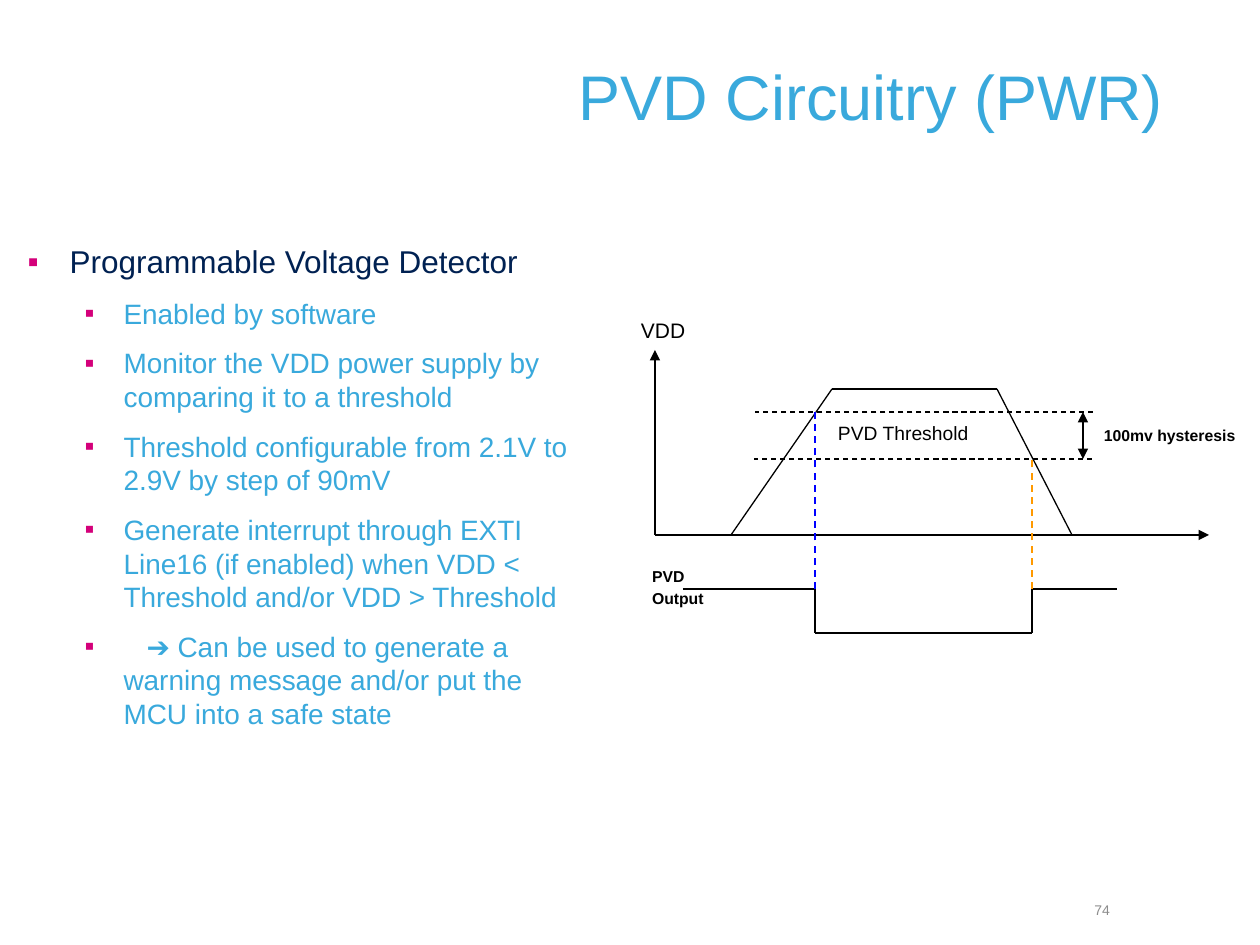
from dataclasses import dataclass

from lxml import etree
from pptx import Presentation
from pptx.dml.color import RGBColor
from pptx.enum.dml import MSO_LINE
from pptx.enum.shapes import MSO_CONNECTOR
from pptx.enum.text import MSO_ANCHOR, MSO_AUTO_SIZE, PP_ALIGN
from pptx.oxml.ns import qn
from pptx.util import Pt

PX_PER_INCH = 126
STRAIGHT = MSO_CONNECTOR.STRAIGHT
DASH = MSO_LINE.DASH
LEFT, RIGHT = PP_ALIGN.LEFT, PP_ALIGN.RIGHT
TOP, MIDDLE = MSO_ANCHOR.TOP, MSO_ANCHOR.MIDDLE
FIXED = MSO_AUTO_SIZE.NONE


@dataclass(frozen=True)
class Theme:
    font: str = "Arial"
    sky: str = "39A9DC"
    navy: str = "002152"
    pink: str = "D4007A"
    grey: str = "8C8C8C"
    black: str = "000000"
    blue: str = "0000FF"
    orange: str = "FF9900"
    title: int = 36
    topic: int = 18
    point: int = 16
    axis: int = 12
    threshold: int = 11
    label: int = 9
    number: int = 8


THEME = Theme()


@dataclass(frozen=True)
class Bullet:
    text: str
    level: int = 1
    tab: int = 0


@dataclass(frozen=True)
class Line:
    x1: int
    y1: int
    x2: int
    y2: int
    color: str = THEME.black
    width: float = 0.75
    dashed: bool = False
    head: bool = False
    tail: bool = False


@dataclass(frozen=True)
class Label:
    text: str
    box: tuple[int, int, int, int]
    size: int
    bold: bool = False
    wrap: bool = True
    gap: float = 0


def px(n: int) -> int:
    return round(n * 914400 / PX_PER_INCH)


def place(sp, box: tuple[int, int, int, int]) -> None:
    sp.left, sp.top, sp.width, sp.height = map(px, box)


def write(p, text: str, *, size: int, color: str = THEME.black,
          bold: bool = False, align=LEFT, before: float = 0, after: float = 0) -> None:
    p.alignment = align
    p.space_before, p.space_after = Pt(before), Pt(after)
    r = p.add_run()
    r.text = text
    r.font.name, r.font.size, r.font.bold = THEME.font, Pt(size), bold
    r.font.color.rgb = RGBColor.from_string(color)


def add_bullet_mark(p, indent: int, hanging: int, tab: int) -> None:
    pPr = p._p.get_or_add_pPr()
    pPr.set("marL", str(px(indent)))
    pPr.set("indent", str(-px(hanging)))
    color = etree.SubElement(pPr, qn("a:buClr"))
    etree.SubElement(color, qn("a:srgbClr"), val=THEME.pink)
    etree.SubElement(pPr, qn("a:buFont"), typeface=THEME.font)
    etree.SubElement(pPr, qn("a:buChar"), char="▪")
    if tab:
        tabs = etree.SubElement(pPr, qn("a:tabLst"))
        etree.SubElement(tabs, qn("a:tab"), pos=str(px(tab)), algn="l")


def add_bullets(tf, bullets: list[Bullet]) -> None:
    styles = [(42, 42, THEME.topic, THEME.navy), (96, 39, THEME.point, THEME.sky)]
    for i, b in enumerate(bullets):
        p = tf.add_paragraph() if i else tf.paragraphs[0]
        indent, hanging, size, color = styles[b.level]
        p.level = b.level
        add_bullet_mark(p, indent, hanging, b.tab)
        write(p, b.text, size=size, color=color, before=0.2 * size if i else 0, after=6)


def add_line(slide, ln: Line) -> None:
    sp = slide.shapes.add_connector(STRAIGHT, px(ln.x1), px(ln.y1), px(ln.x2), px(ln.y2))
    sp.line.color.rgb = RGBColor.from_string(ln.color)
    sp.line.width = Pt(ln.width)
    if ln.dashed:
        sp.line.dash_style = DASH
    outline = sp.line._get_or_add_ln()
    for tag, wanted in (("a:headEnd", ln.head), ("a:tailEnd", ln.tail)):
        if wanted:
            etree.SubElement(outline, qn(tag), type="triangle")
    etree.SubElement(sp._element.spPr, qn("a:effectLst"))


def add_label(slide, lb: Label) -> None:
    tf = slide.shapes.add_textbox(*map(px, lb.box)).text_frame
    tf.word_wrap = lb.wrap
    tf.margin_left = tf.margin_right = px(11)
    tf.margin_top = tf.margin_bottom = px(5)
    for i, text in enumerate(lb.text.split("\n")):
        p = tf.add_paragraph() if i else tf.paragraphs[0]
        write(p, text, size=lb.size, bold=lb.bold, before=lb.gap if i else 0)


# Diagram levels: supply voltage, thresholds, time axis and detector output
PEAK, UPPER, LOWER, AXIS, HIGH, LOW = 389, 412, 459, 535, 589, 633
ORIGIN, RISE, FALL = 655, 815, 1032

BULLETS = [
    Bullet("Programmable Voltage Detector", level=0),
    Bullet("Enabled by software"),
    Bullet("Monitor the VDD power supply by comparing it to a threshold"),
    Bullet("Threshold configurable from 2.1V to 2.9V by step of 90mV"),
    Bullet("Generate interrupt through EXTI Line16 (if enabled) when VDD < "
           "Threshold and/or VDD > Threshold"),
    Bullet("\t➔ Can be used to generate a warning message and/or put the "
           "MCU into a safe state", tab=119),
]

LINES = [
    # Axes
    Line(ORIGIN, 350, ORIGIN, AXIS, head=True),
    Line(ORIGIN, AXIS, 1209, AXIS, tail=True),
    # Supply ramp
    Line(731, AXIS, 832, PEAK),
    Line(832, PEAK, 997, PEAK),
    Line(997, PEAK, 1072, AXIS),
    # Thresholds and hysteresis
    Line(1093, UPPER, 755, UPPER, dashed=True),
    Line(1092, LOWER, 754, LOWER, dashed=True),
    Line(1083, UPPER, 1083, LOWER, head=True, tail=True),
    # Detector output
    Line(683, HIGH, RISE, HIGH),
    Line(RISE, HIGH, RISE, LOW),
    Line(RISE, LOW, FALL, LOW),
    Line(FALL, LOW, FALL, HIGH),
    Line(FALL, HIGH, 1117, HIGH),
    # Threshold crossings
    Line(RISE, HIGH, RISE, UPPER, THEME.blue, 1, dashed=True),
    Line(FALL, HIGH, FALL, LOWER, THEME.orange, 1, dashed=True),
]

LABELS = [
    Label("VDD", (630, 313, 76, 36), THEME.axis),
    Label("100mv hysteresis", (1093, 421, 178, 49), THEME.label, bold=True),
    Label("PVD\nOutput", (641, 562, 107, 52), THEME.label, bold=True, gap=1.35),
    Label("PVD Threshold", (827, 416, 164, 34), THEME.threshold, wrap=False),
]


def main() -> None:
    prs = Presentation()
    prs.slide_width, prs.slide_height = px(1260), px(945)
    slide = prs.slides.add_slide(prs.slide_layouts[1])

    # Title and list
    title, body = slide.shapes.title, slide.placeholders[1]
    for sp, box, anchor in ((title, (63, 16, 1113, 158), MIDDLE),
                            (body, (15, 236, 586, 546), TOP)):
        place(sp, box)
        sp.text_frame.auto_size = FIXED
        sp.text_frame.vertical_anchor = anchor
    write(title.text_frame.paragraphs[0], "PVD Circuitry (PWR)",
          size=THEME.title, color=THEME.sky, align=RIGHT)
    add_bullets(body.text_frame, BULLETS)

    # Voltage diagram
    for ln in LINES:
        add_line(slide, ln)
    for lb in LABELS:
        add_label(slide, lb)

    # Slide number
    tf = slide.shapes.add_textbox(*map(px, (640, 902, 470, 16))).text_frame
    tf.margin_left = tf.margin_right = tf.margin_top = tf.margin_bottom = 0
    tf.word_wrap, tf.vertical_anchor = True, MIDDLE
    write(tf.paragraphs[0], "74", size=THEME.number, color=THEME.grey, align=RIGHT)

    prs.save("out.pptx")


if __name__ == "__main__":
    main()
